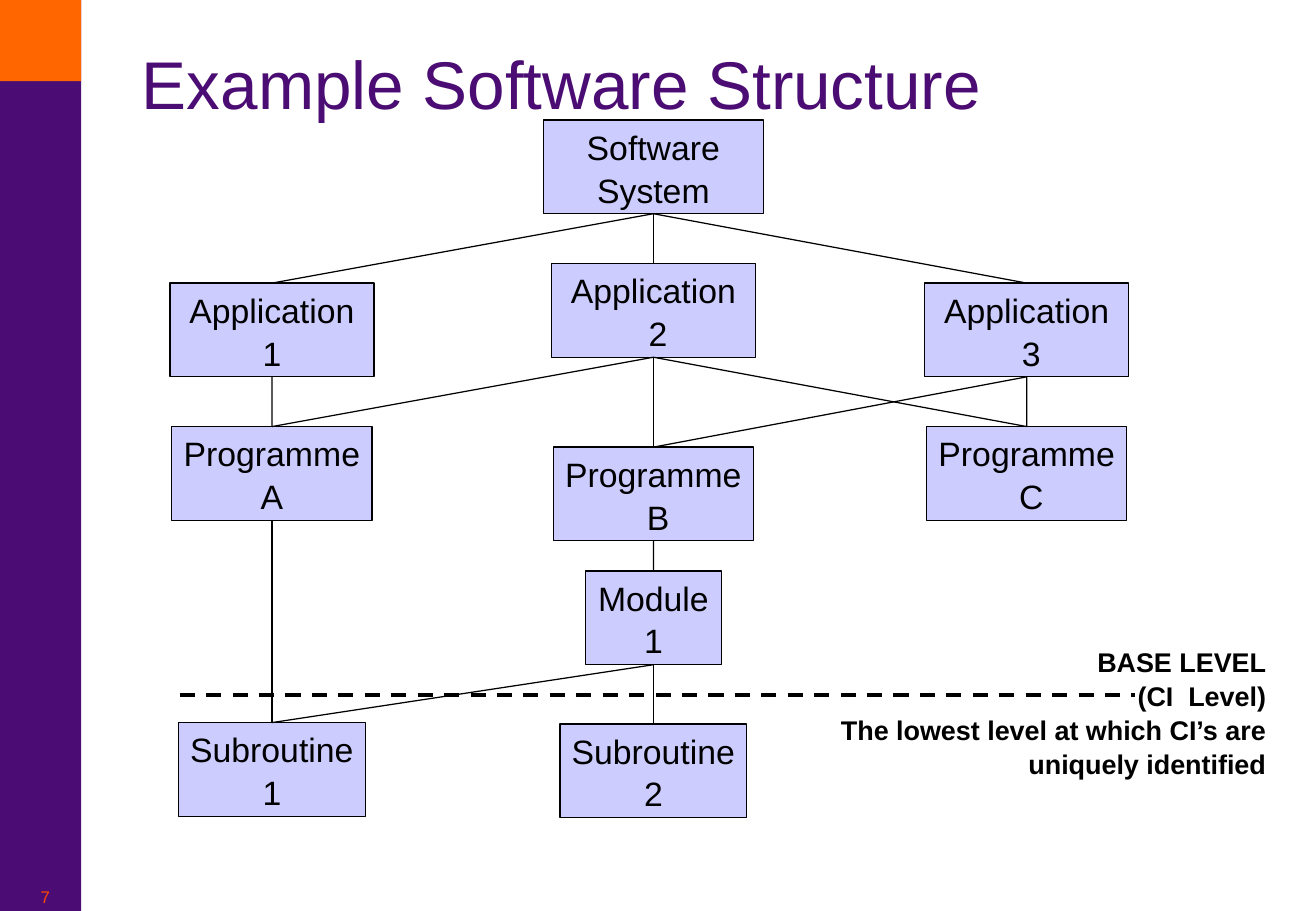
from pptx import Presentation
from pptx.dml.color import RGBColor
from pptx.enum.dml import MSO_LINE
from pptx.enum.shapes import MSO_CONNECTOR, MSO_SHAPE
from pptx.enum.text import MSO_ANCHOR, PP_ALIGN
from pptx.oxml.ns import qn
from pptx.util import Cm, Pt
from lxml import etree

RECTANGLE = MSO_SHAPE.RECTANGLE
STRAIGHT = MSO_CONNECTOR.STRAIGHT
LEFT, CENTER, RIGHT = PP_ALIGN.LEFT, PP_ALIGN.CENTER, PP_ALIGN.RIGHT
TOP, MIDDLE = MSO_ANCHOR.TOP, MSO_ANCHOR.MIDDLE
BOTTOM_SIDE, TOP_SIDE = 2, 0
PURPLE, ORANGE, LILAC, BLACK = "4B0D73", "FF6600", "CCCCFF", "000000"


def color(value):
    return RGBColor.from_string(value)


def write(box, lines, align, spacing, font_format, frame_format):
    frame = box.text_frame
    for name, value in frame_format.items():
        setattr(frame, name, value)
    frame.text = "\n".join(lines)
    for para in frame.paragraphs:
        para.alignment = align
        para.line_spacing = spacing
        for span in para.runs:
            span.font.name = "Arial"
            span.font.color.rgb = color(font_format["color"])
            span.font.size = Pt(font_format["size"])
            span.font.bold = font_format.get("bold", False)


deck = Presentation()
deck.slide_width, deck.slide_height = Cm(27.53), Cm(19.05)
page = deck.slides.add_slide(deck.slide_layouts[6])

for band_height, band_color in [(19.05, PURPLE), (1.7, ORANGE)]:
    band = page.shapes.add_shape(RECTANGLE, 0, 0, Cm(1.7), Cm(band_height))
    band.shadow.inherit = False
    band.fill.solid()
    band.fill.fore_color.rgb = color(band_color)
    band.line.fill.background()

columns = {"left": 5.69, "middle": 13.67, "right": 21.48}
box_height = 1.96
nodes = {
    "system": ("middle", 2.51, 4.6, ["Software", "System"]),
    "application 1": ("left", 5.92, 4.27, ["Application", "1"]),
    "application 2": ("middle", 5.51, 4.27, ["Application", " 2"]),
    "application 3": ("right", 5.92, 4.27, ["Application", " 3"]),
    "programme A": ("left", 8.92, 4.19, ["Programme", "A"]),
    "programme B": ("middle", 9.35, 4.19, ["Programme", " B"]),
    "programme C": ("right", 8.92, 4.19, ["Programme", " C"]),
    "module 1": ("middle", 11.94, 2.84, ["Module", "1"]),
    "subroutine 1": ("left", 15.11, 3.91, ["Subroutine", "1"]),
    "subroutine 2": ("middle", 15.14, 3.91, ["Subroutine", "2"]),
}
boxes = {}
for name, (column, top, width, lines) in nodes.items():
    box = page.shapes.add_shape(RECTANGLE, Cm(columns[column] - width / 2), Cm(top),
                                Cm(width), Cm(box_height))
    box.shadow.inherit = False
    box.fill.solid()
    box.fill.fore_color.rgb = color(LILAC)
    box.line.color.rgb = color(BLACK)
    box.line.width = Pt(0.75)
    write(box, lines, CENTER, 1.06, {"size": 20, "color": BLACK},
          {"word_wrap": False, "vertical_anchor": MIDDLE})
    boxes[name] = box

children = {
    "system": ["application 1", "application 2", "application 3"],
    "application 1": ["programme A"],
    "application 2": ["programme A", "programme B", "programme C"],
    "application 3": ["programme B", "programme C"],
    "programme A": ["subroutine 1"],
    "programme B": ["module 1"],
    "module 1": ["subroutine 1", "subroutine 2"],
}
links = []
for parent, names in children.items():
    for child in names:
        link = page.shapes.add_connector(STRAIGHT, 0, 0, 0, 0)
        link.begin_connect(boxes[parent], BOTTOM_SIDE)
        link.end_connect(boxes[child], TOP_SIDE)
        link.line.width = Pt(0.75)
        links.append(link)

base_line = page.shapes.add_connector(STRAIGHT, Cm(3.76), Cm(14.53), Cm(23.75), Cm(14.53))
base_line.line.width = Pt(2.25)
base_line.line.dash_style = MSO_LINE.DASH
for link in links + [base_line]:
    link.line.color.rgb = color(BLACK)
    etree.SubElement(link._element.spPr, qn("a:effectLst"))

title = page.shapes.add_textbox(Cm(2.97), Cm(0.74), Cm(23.93), Cm(1.27))
write(title, ["Example Software Structure"], LEFT, 1.0, {"size": 40, "color": PURPLE},
      {"word_wrap": True, "vertical_anchor": TOP, "margin_left": 0, "margin_right": 0,
       "margin_top": Cm(0.15), "margin_bottom": 0})

base_label = page.shapes.add_textbox(Cm(17.32), Cm(13.34), Cm(9.42), Cm(2.97))
write(base_label,
      ["BASE LEVEL", "(CI  Level)", "The lowest level at which CI’s are", "uniquely identified"],
      RIGHT, 1.05, {"size": 16, "color": BLACK, "bold": True},
      {"word_wrap": False, "vertical_anchor": TOP})

page_number = page.shapes.add_textbox(0, Cm(18.42), Cm(1.9), Cm(0.63))
write(page_number, ["7"], CENTER, 1.0, {"size": 10, "color": "FF4600"},
      {"word_wrap": True, "vertical_anchor": TOP})

deck.save("out.pptx")
